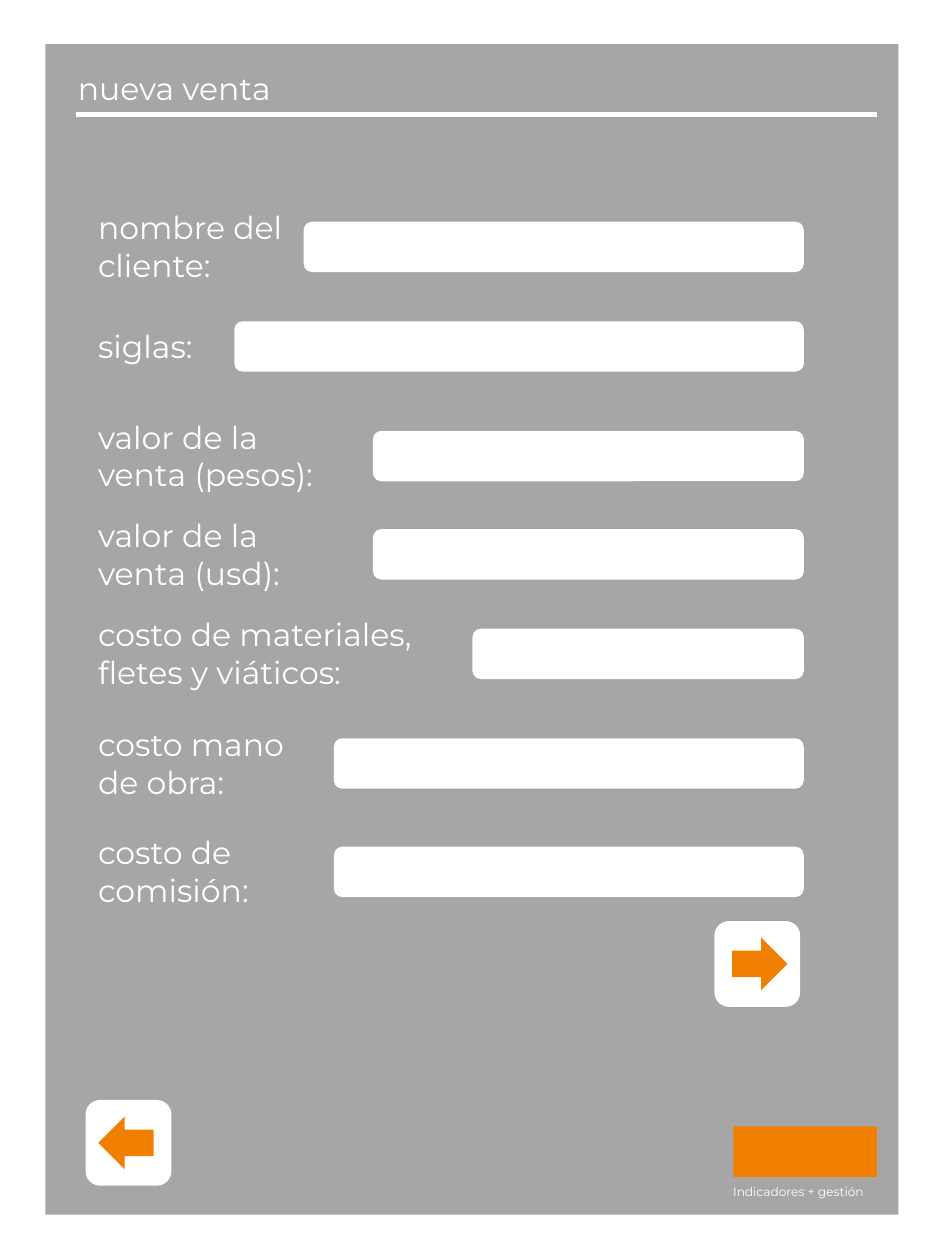
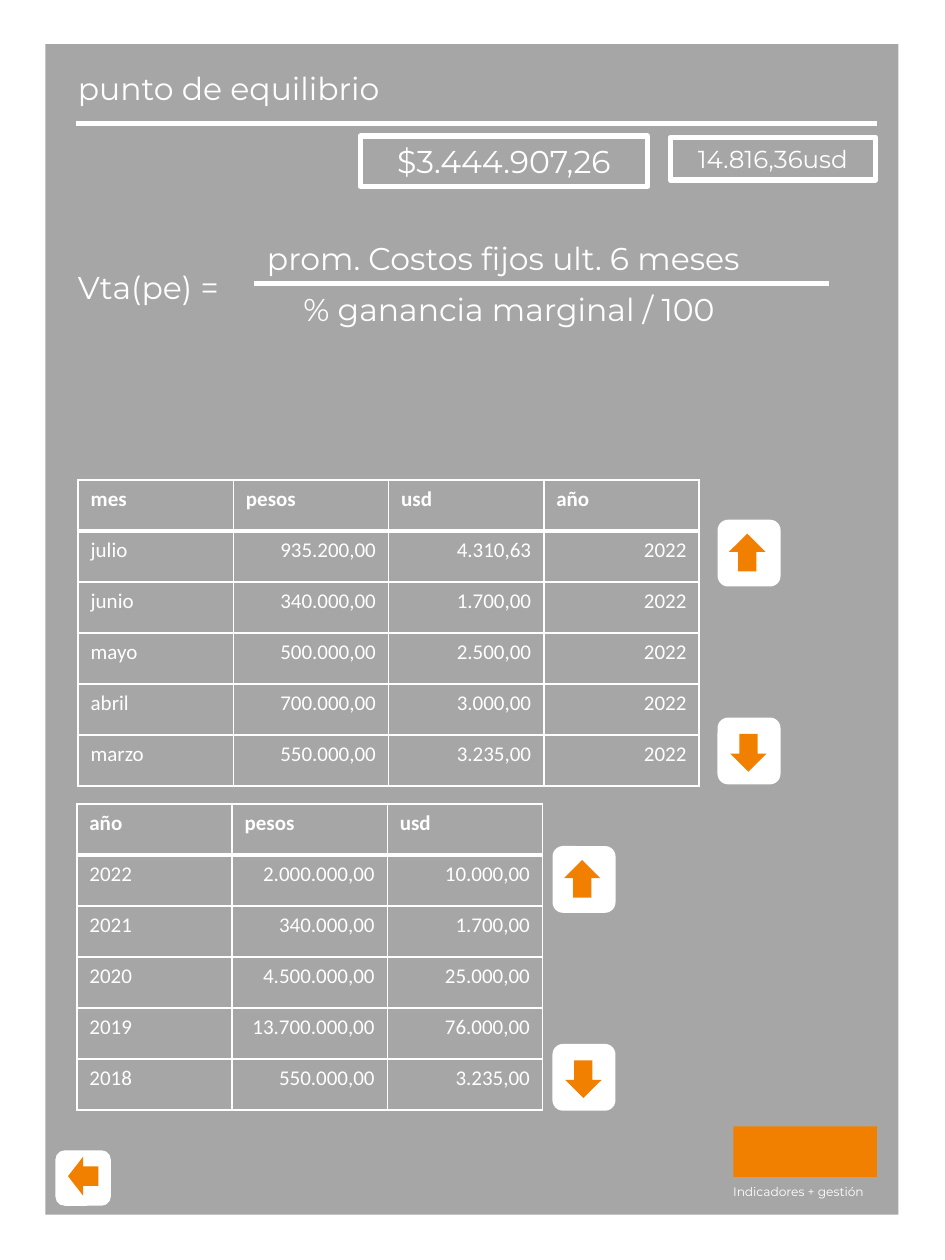
"""Build two form screens: a new sale and the break-even point."""
import pptx
import pptx.dml.color
import pptx.enum.shapes
import pptx.enum.text
import pptx.oxml
import pptx.oxml.ns
import pptx.util

COLORS = {"panel": "A6A6A6", "accent": "F28000", "light": "FFFFFF"}
SLIDE_WIDTH = pptx.util.Inches(7.5)
SLIDE_HEIGHT = pptx.util.Inches(10)
COLUMNS, ROWS = 75, 100
SHAPE = pptx.enum.shapes.MSO_SHAPE
ALIGN = pptx.enum.text.PP_ALIGN
ANCHOR = pptx.enum.text.MSO_ANCHOR

LABEL_FONT = {"name": "Montserrat", "size": pptx.util.Pt(18)}
AMOUNT_FONT = {"name": "Montserrat", "size": pptx.util.Pt(14)}
TAGLINE_FONT = {"name": "Montserrat", "size": pptx.util.Pt(7)}
HEADER_FONT = {"name": "Calibri", "size": pptx.util.Pt(12), "bold": True}
BODY_FONT = {**HEADER_FONT, "bold": False}
FRAME_FORMAT = {
    "word_wrap": True,
    "auto_size": pptx.enum.text.MSO_AUTO_SIZE.SHAPE_TO_FIT_TEXT,
}

MARGIN_LEFT, RULE_RIGHT = 6, 69.6
LABEL_LEFT, FIELD_RIGHT = 6.8, 63.8
LINE_HEIGHT, TWO_LINES = 4, 7.1
CELL_WIDTH, CELL_HEIGHT = 12.32, 4.05
SCROLL_STEP = 15.7

SALE_FIELDS = [
    ("nombre del cliente:", 17.3, 24.1, 17.6),
    ("siglas:", 11.8, 18.6, 25.5),
    ("valor de la venta (pesos):", 21.3, 29.6, 34.2),
    ("valor de la venta (usd):", 21.3, 29.6, 42),
    ("costo de materiales, fletes y viáticos:", 30.7, 37.5, 49.9),
    ("costo mano de obra:", 19.7, 26.5, 58.6),
    ("costo de comisión:", 19.7, 26.5, 67.2),
]
MONTHLY_SALES = [
    ("mes", "pesos", "usd", "año"),
    ("julio", "935.200,00", "4.310,63", "2022"),
    ("junio", "340.000,00", "1.700,00", "2022"),
    ("mayo", "500.000,00", "2.500,00", "2022"),
    ("abril", "700.000,00", "3.000,00", "2022"),
    ("marzo", "550.000,00", "3.235,00", "2022"),
]
YEARLY_SALES = [
    ("año", "pesos", "usd"),
    ("2022", "2.000.000,00", "10.000,00"),
    ("2021", "340.000,00", "1.700,00"),
    ("2020", "4.500.000,00", "25.000,00"),
    ("2019", "13.700.000,00", "76.000,00"),
    ("2018", "550.000,00", "3.235,00"),
]


def col(count):
    """Turn grid columns into a length."""
    return int(SLIDE_WIDTH * count / COLUMNS)


def row(count):
    """Turn grid rows into a length."""
    return int(SLIDE_HEIGHT * count / ROWS)


def grid(left, top, width, height):
    """Turn a box in grid units into lengths."""
    return col(left), row(top), col(width), row(height)


def rgb(color):
    """Look up a named colour."""
    return pptx.dml.color.RGBColor.from_string(COLORS[color])


def apply_format(target, values):
    """Set each format value on the target."""
    for attribute, value in values.items():
        setattr(target, attribute, value)


def write(frame, text, font, align=ALIGN.LEFT):
    """Write one light paragraph into a text frame."""
    paragraph = frame.paragraphs[0]
    paragraph.alignment = align
    run = paragraph.add_run()
    run.text = text
    apply_format(run.font, font)
    run.font.color.rgb = rgb("light")


def add_text(slide, text, box, font=LABEL_FONT):
    """Add a wrapped text box."""
    frame = slide.shapes.add_textbox(*grid(*box)).text_frame
    apply_format(frame, FRAME_FORMAT)
    write(frame, text, font)


def add_block(slide, kind, box, color, rotation=0):
    """Add a filled shape without outline."""
    block = slide.shapes.add_shape(kind, *grid(*box))
    block.shadow.inherit = False
    block.fill.solid()
    block.fill.fore_color.rgb = rgb(color)
    block.line.fill.background()
    block.rotation = rotation


def add_rule(slide, left, right, top):
    """Add a thick horizontal line."""
    rule = slide.shapes.add_connector(
        pptx.enum.shapes.MSO_CONNECTOR.STRAIGHT, col(left), row(top), col(right), row(top)
    )
    rule.line.color.rgb = rgb("light")
    rule.line.width = pptx.util.Pt(3)
    rule._element.spPr.append(pptx.oxml.parse_xml(
        f"<a:effectLst {pptx.oxml.ns.nsdecls('a')}/>"))


def add_button(slide, tile, arrow, rotation=0):
    """Add a rounded tile with an arrow on it."""
    add_block(slide, SHAPE.ROUNDED_RECTANGLE, tile, "light", rotation)
    add_block(slide, SHAPE.LEFT_ARROW, arrow, "accent", rotation)


def add_scroll_buttons(slide, left, top):
    """Add an up button and a down button beside a table."""
    bottom = top + SCROLL_STEP
    add_button(slide, (left, bottom, 5.3, 5), (left + 1.1, bottom + 1.2, 3, 2.9), 270)
    add_button(slide, (left, top, 5.3, 5), (left + 1, top + 1, 3, 2.9), 90)


def add_amount(slide, text, box, font):
    """Add an outlined box with a centred amount."""
    amount = slide.shapes.add_shape(SHAPE.RECTANGLE, *grid(*box))
    amount.shadow.inherit = False
    amount.fill.background()
    amount.line.color.rgb = rgb("light")
    amount.line.width = pptx.util.Pt(3)
    apply_format(amount.text_frame, {**FRAME_FORMAT, "vertical_anchor": ANCHOR.TOP})
    write(amount.text_frame, text, font, ALIGN.CENTER)


def add_field(slide, label, label_width, left, top):
    """Add an input field with its label centred beside it."""
    height = LINE_HEIGHT if label == "siglas:" else TWO_LINES
    label_top = top - (height - LINE_HEIGHT) / 2
    add_block(slide, SHAPE.ROUNDED_RECTANGLE,
              (left, top, FIELD_RIGHT - left, LINE_HEIGHT), "light")
    add_text(slide, label, (LABEL_LEFT, label_top, label_width, height))


def set_borders(cell, widths):
    """Draw the four cell borders with the given point widths."""
    properties = cell._tc.get_or_add_tcPr()
    for position, (side, width) in enumerate(widths.items()):
        properties.insert(position, pptx.oxml.parse_xml(
            f"<a:{side} {pptx.oxml.ns.nsdecls('a')} w=\"{pptx.util.Pt(width)}\">"
            f"<a:solidFill><a:srgbClr val=\"{COLORS['light']}\"/></a:solidFill></a:{side}>"))


def add_sales_table(slide, records, left, top):
    """Add a table with a heavy line under its header."""
    size = len(records[0]) * CELL_WIDTH, len(records) * CELL_HEIGHT
    table = slide.shapes.add_table(
        len(records), len(records[0]), *grid(left, top, *size)).table
    table.horz_banding = False
    for r, record in enumerate(records):
        for c, value in enumerate(record):
            cell = table.cell(r, c)
            cell.fill.background()
            set_borders(cell, {"lnL": 1, "lnR": 1, "lnT": 3 if r == 1 else 1,
                               "lnB": 3 if r == 0 else 1})
            write(cell.text_frame, value, BODY_FONT if r else HEADER_FONT,
                  ALIGN.RIGHT if r and c else ALIGN.LEFT)


def add_screen(deck, title, rule_top):
    """Add a slide with the panel, brand block, title and rule."""
    slide = deck.slides.add_slide(deck.slide_layouts[6])
    add_block(slide, SHAPE.RECTANGLE, (3.6, 3.5, 67.7, 92.9), "panel")
    add_block(slide, SHAPE.RECTANGLE, (58.2, 89.4, 11.4, 4), "accent")
    add_text(slide, "Indicadores + gestión", (57.2, 93.5, 15, 2.2), TAGLINE_FONT)
    add_text(slide, title, (5.2, 5, 58.6, LINE_HEIGHT))
    add_rule(slide, MARGIN_LEFT, RULE_RIGHT, rule_top)
    return slide


def build_new_sale(deck):
    """Build the form for a new sale."""
    slide = add_screen(deck, "nueva venta", 9.1)
    add_button(slide, (6.8, 87.3, 6.8, 6.8), (7.8, 88.6, 4.4, 4.2))
    for field in SALE_FIELDS:
        add_field(slide, *field)
    add_button(slide, (56.7, 73.1, 6.8, 6.8), (58.1, 74.4, 4.4, 4.2), 180)


def build_break_even(deck):
    """Build the break-even formula and its tables."""
    slide = add_screen(deck, "punto de equilibrio", 9.8)
    add_button(slide, (4.4, 91.3, 4.4, 4.4), (5.4, 91.8, 2.4, 3.1))
    add_sales_table(slide, MONTHLY_SALES, 6.2, 38.1)
    add_scroll_buttons(slide, 56.8, 41.4)
    add_sales_table(slide, YEARLY_SALES, 6.1, 63.8)
    add_scroll_buttons(slide, 43.7, 67.3)
    add_text(slide, "Vta(pe) =", (5.2, 20.8, 15, LINE_HEIGHT))
    add_text(slide, "prom. Costos fijos ult. 6 meses", (20.2, 18.5, 45.1, LINE_HEIGHT))
    add_rule(slide, 20.2, 65.8, 22.5)
    add_text(slide, "% ganancia marginal / 100", (23.1, 22.5, 45.1, LINE_HEIGHT))
    add_amount(slide, "14.816,36usd", (53.2, 10.9, 16.3, 3.4), AMOUNT_FONT)
    add_amount(slide, "$3.444.907,26", (28.6, 10.8, 22.8, LINE_HEIGHT), LABEL_FONT)


def main():
    """Build the deck and save it."""
    deck = pptx.Presentation()
    apply_format(deck, {"slide_width": SLIDE_WIDTH, "slide_height": SLIDE_HEIGHT})
    build_new_sale(deck)
    build_break_even(deck)
    deck.save("out.pptx")


if __name__ == "__main__":
    main()
